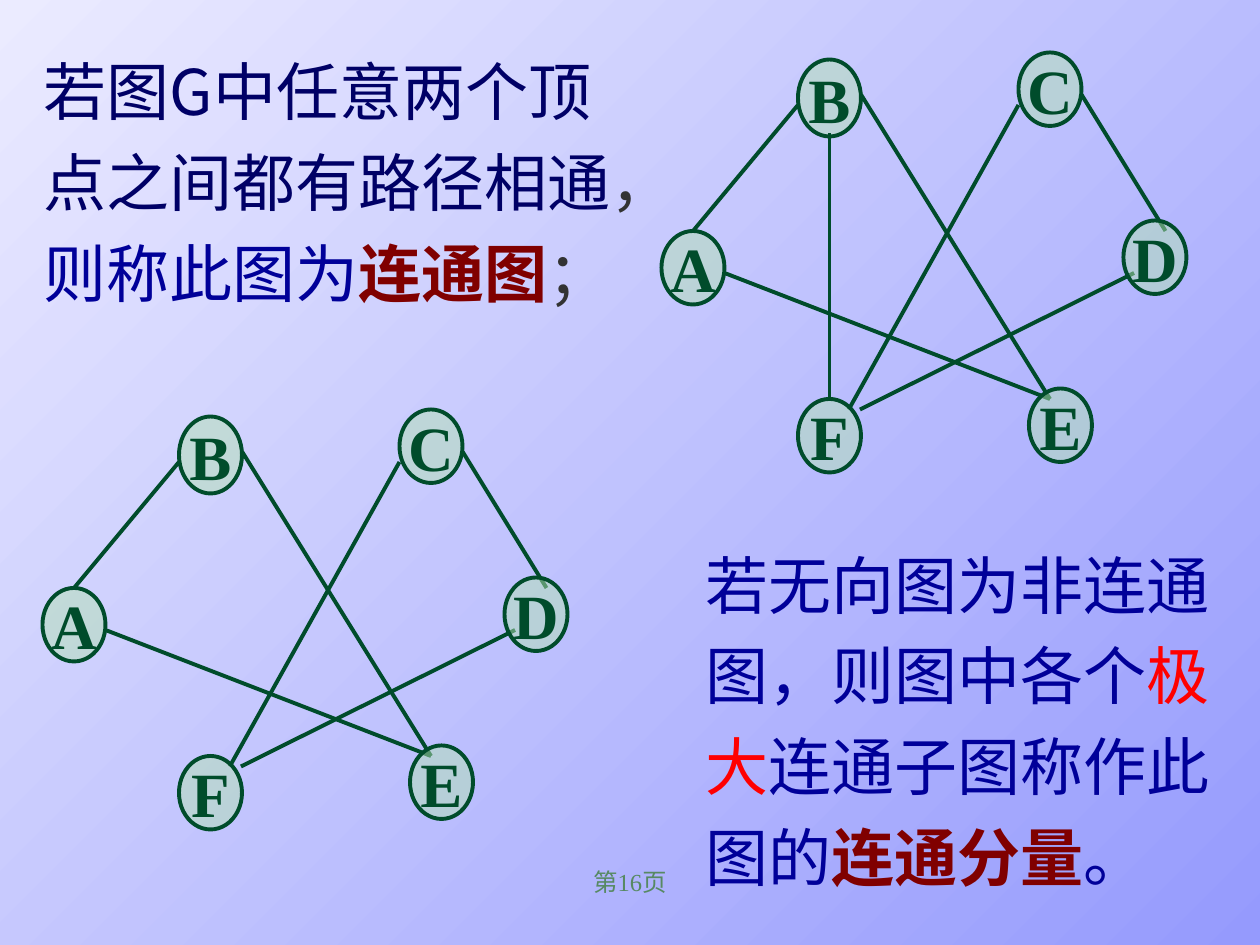
"""Build a slide defining connected graphs and connected components."""
import pptx
import pptx.dml.color
import pptx.enum.dml
import pptx.enum.shapes
import pptx.enum.text
import pptx.oxml.ns
import pptx.util
from lxml import etree

RGBColor = pptx.dml.color.RGBColor
PALE = RGBColor(0xEB, 0xEB, 0xFF)
PERIWINKLE = RGBColor(0x95, 0x9A, 0xFD)
NAVY = RGBColor(0x00, 0x00, 0x66)
BLUE = RGBColor(0x00, 0x00, 0x99)
GREY = RGBColor(0x33, 0x33, 0x33)
MAROON = RGBColor(0x80, 0x00, 0x00)
RED = RGBColor(0xFF, 0x00, 0x00)
MINT = RGBColor(0xB3, 0xE1, 0xB3)
GREEN = RGBColor(0x00, 0x4C, 0x2B)
SAGE = RGBColor(0x57, 0x89, 0x63)
SERIF = "Times New Roman"
SANS = "Noto Sans CJK SC"
CELL = pptx.util.Inches(1) / 12


def grid(*cells):
    return [round(cell * CELL) for cell in cells]


def add_run(paragraph, text, size, font_name, color, bold=False):
    run = paragraph.add_run()
    run.text = text
    run.font.size = pptx.util.Pt(size)
    run.font.name = font_name
    run.font.bold = bold
    run.font.color.rgb = color
    east_asian = etree.SubElement(run.font._element, pptx.oxml.ns.qn("a:ea"))
    east_asian.set("typeface", SANS)


presentation = pptx.Presentation()
presentation.slide_width, presentation.slide_height = grid(120, 90)
slide = presentation.slides.add_slide(presentation.slide_layouts[6])

background = slide.background.fill
background.gradient()
background.gradient_angle = 315
for stop, color, position in zip(background.gradient_stops, (PALE, PERIWINKLE), (0, 1)):
    stop.color.rgb = color
    stop.position = position

page_box = slide.shapes.add_textbox(*grid(41, 82, 38, 6))
page_box.text_frame.word_wrap = True
page_paragraph = page_box.text_frame.paragraphs[0]
page_paragraph.alignment = pptx.enum.text.PP_ALIGN.CENTER
add_run(page_paragraph, "第16页", 14, SERIF, SAGE)

definitions = [
    ((3, 3, 57, 27), SANS, [
        ("若图G中任意两个顶点之间都有路径相通", NAVY, False),
        ("，", GREY, False),
        ("则称此图为", BLUE, False),
        ("连通图", MAROON, True),
        ("；", GREY, False),
    ]),
    ((66, 50, 50.67, 35.75), SERIF, [
        ("若无向图为非连通图，则图中各个", BLUE, False),
        ("极大", RED, False),
        ("连通子图称作此图的", BLUE, False),
        ("连通分量", MAROON, True),
        ("。", BLUE, False),
    ]),
]
for place, font_name, runs in definitions:
    text_box = slide.shapes.add_textbox(*grid(*place))
    text_box.text_frame.word_wrap = True
    paragraph = text_box.text_frame.paragraphs[0]
    paragraph.line_spacing = 1.2
    for text, color, bold in runs:
        add_run(paragraph, text, 36, font_name, color, bold)

back_nodes = [("B", 13, 0.67, 7.33), ("A", 0, 17, 7)]
front_nodes = [("C", 34, 0, 7), ("D", 44, 16, 7), ("F", 13, 33, 7), ("E", 35, 32, 7)]
shared_edges = [
    (13, 5, 3, 17),
    (19, 4, 37, 33),
    (6, 21, 37, 33),
    (34, 5, 17.83, 34),
    (40, 4, 48, 17),
    (45, 21, 18.9, 34),
]
edge_b_to_f = (16, 7.7, 16, 33)
graphs = [(63, 5, shared_edges + [edge_b_to_f]), (4.05, 39, shared_edges)]

for left, top, edges in graphs:
    for nodes, node_edges in ((back_nodes, edges), (front_nodes, [])):
        for name, column, row, height in nodes:
            node = slide.shapes.add_shape(
                pptx.enum.shapes.MSO_SHAPE.OVAL,
                *grid(left + column, top + row, 6, height))
            node.shadow.inherit = False
            node.fill.solid()
            node.fill.fore_color.rgb = MINT
            fill_color = node.fill._xPr.find(".//" + pptx.oxml.ns.qn("a:srgbClr"))
            etree.SubElement(fill_color, pptx.oxml.ns.qn("a:alpha")).set("val", "50000")
            node.line.color.rgb = GREEN
            node.line.width = pptx.util.Pt(2.25)
            node.text_frame.word_wrap = False
            node.text_frame.vertical_anchor = pptx.enum.text.MSO_ANCHOR.MIDDLE
            label = node.text_frame.paragraphs[0]
            label.alignment = pptx.enum.text.PP_ALIGN.CENTER
            add_run(label, name, 36, SERIF, GREEN, True)
        for start_column, start_row, end_column, end_row in node_edges:
            edge = slide.shapes.add_connector(
                pptx.enum.shapes.MSO_CONNECTOR.STRAIGHT,
                *grid(left + start_column, top + start_row,
                      left + end_column, top + end_row))
            edge.line.color.rgb = GREEN
            edge.line.width = pptx.util.Pt(2.25)
            etree.SubElement(edge._element.spPr, pptx.oxml.ns.qn("a:effectLst"))

presentation.save("out.pptx")
